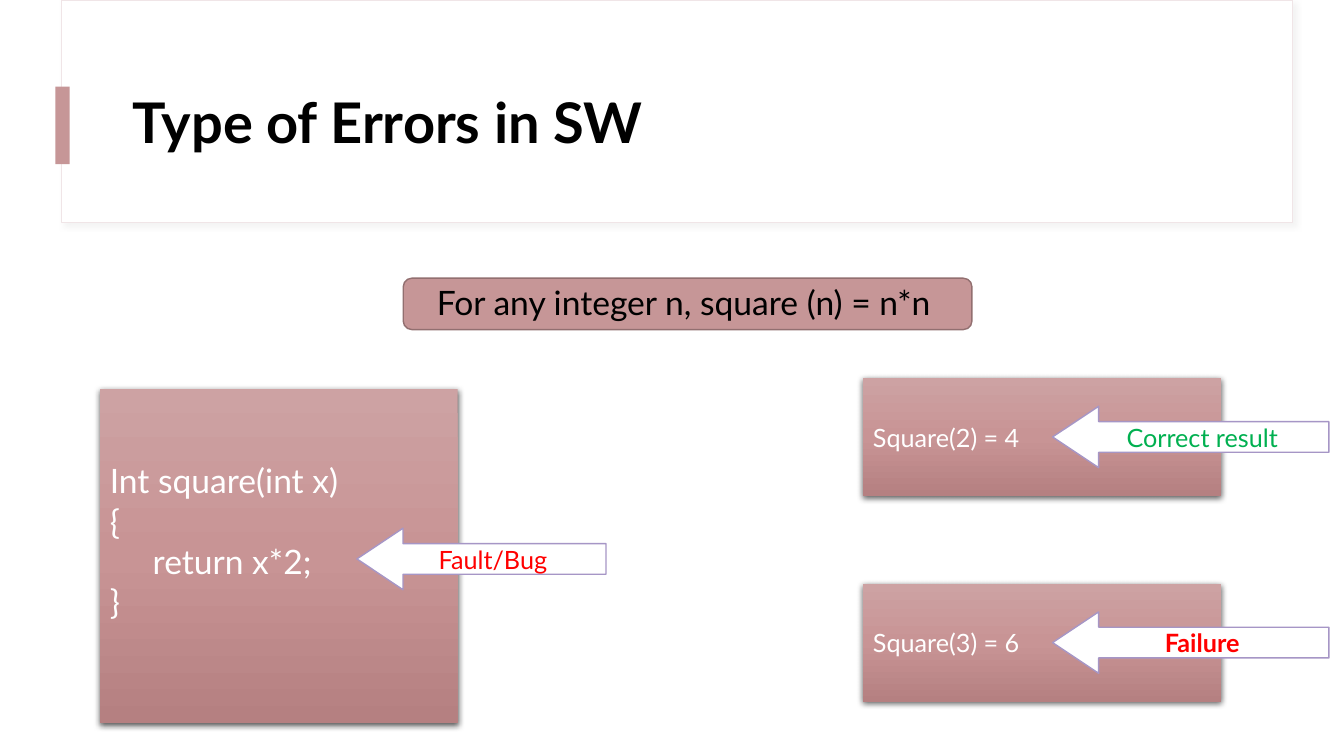
from dataclasses import dataclass
from typing import Any, Optional

from pptx import Presentation
from pptx.dml.color import RGBColor
from pptx.enum.shapes import MSO_SHAPE
from pptx.enum.text import MSO_ANCHOR, PP_ALIGN
from pptx.oxml import parse_xml
from pptx.oxml.ns import nsdecls
from pptx.util import Inches, Pt

BLACK = RGBColor(0x00, 0x00, 0x00)
WHITE = RGBColor(0xFF, 0xFF, 0xFF)
RED = RGBColor(0xFF, 0x00, 0x00)
GREEN = RGBColor(0x00, 0xB0, 0x50)
ROSE = RGBColor(0xC6, 0x96, 0x97)
ROSE_DARK = RGBColor(0x92, 0x6F, 0x70)
ROSE_PALE = RGBColor(0xF0, 0xE5, 0xE7)
LILAC = RGBColor(0xA6, 0x96, 0xC6)
GREY = RGBColor(0xD9, 0xD9, 0xD9)
GRADIENT = {
    0: RGBColor(0xCD, 0xA2, 0xA3),
    50: RGBColor(0xC8, 0x94, 0x95),
    100: RGBColor(0xB5, 0x80, 0x81),
}
RESULT_TOP, RESULT_PITCH = 3.75, 2.04


@dataclass(frozen=True)
class Area:
    """A rectangle on the page, in inches."""

    left: float
    top: float
    width: float
    height: float

    def lengths(self) -> list:
        """Return the four values as lengths."""
        return [Inches(value) for value in (self.left, self.top, self.width, self.height)]


@dataclass(frozen=True)
class Shadow:
    """An outer shadow: opacity in percent, lengths in points, angle in degrees."""

    color: RGBColor
    opacity: int
    blur: float
    distance: float
    angle: int


@dataclass(frozen=True)
class Result:
    """One call of the function and the verdict on its value."""

    call: str
    verdict: str
    font: dict


BOX_SHADOW = Shadow(BLACK, 63, 4.5, 1.5, 90)
HEADER_SHADOW = Shadow(GREY, 30, 4, 3, 45)
RESULTS = [
    Result("Square(2) = 4", "Correct result", {"color": GREEN}),
    Result("Square(3) = 6", "Failure", {"color": RED, "bold": True}),
]


def add_block(page: Any, kind: MSO_SHAPE, area: Area, fill: Optional[RGBColor] = WHITE,
              line: Optional[RGBColor] = None, weight: float = 1) -> Any:
    """Add a preset shape with a plain fill and an optional outline."""
    block = page.shapes.add_shape(kind, *area.lengths())
    block.shadow.inherit = False
    if fill is not None:
        block.fill.solid()
        block.fill.fore_color.rgb = fill
    if line is None:
        block.line.fill.background()
    else:
        block.line.color.rgb = line
        block.line.width = Pt(weight)
    return block


def cast_shadow(block: Any, shadow: Shadow) -> None:
    """Give a block an outer shadow."""
    effects = block._element.spPr.find("{*}effectLst")
    effects.append(parse_xml(
        f'<a:outerShdw {nsdecls("a")} blurRad="{Pt(shadow.blur)}" dist="{Pt(shadow.distance)}"'
        f' dir="{shadow.angle * 60000}" algn="ctr" rotWithShape="0"><a:srgbClr val="{shadow.color}">'
        f'<a:alpha val="{shadow.opacity * 1000}"/></a:srgbClr></a:outerShdw>'))


def write(box: Any, lines: list[str], size: float, color: RGBColor, bold: bool = False,
          frame: Optional[dict] = None, **paragraph_format: Any) -> None:
    """Write lines into a box, one paragraph each."""
    text = box.text_frame
    frame_format = {"word_wrap": True, "vertical_anchor": MSO_ANCHOR.MIDDLE, **(frame or {})}
    for name, value in frame_format.items():
        setattr(text, name, value)
    for index, line in enumerate(lines):
        para = text.add_paragraph() if index else text.paragraphs[0]
        for name, value in paragraph_format.items():
            setattr(para, name, value)
        span = para.add_run()
        span.text = line
        for name, value in {"name": "Lato", "size": Pt(size), "bold": bold}.items():
            setattr(span.font, name, value)
        span.font.color.rgb = color


def add_gradient_box(page: Any, area: Area, lines: list[str], size: float,
                     frame: Optional[dict] = None) -> None:
    """Add a shaded box with left-aligned white text."""
    box = add_block(page, MSO_SHAPE.RECTANGLE, area, fill=None)
    stops = "".join(f'<a:gs pos="{position * 1000}"><a:srgbClr val="{color}"/></a:gs>'
                    for position, color in GRADIENT.items())
    box._element.spPr.insert(2, parse_xml(
        f'<a:gradFill {nsdecls("a")} rotWithShape="1"><a:gsLst>{stops}</a:gsLst>'
        '<a:lin ang="5400000" scaled="0"/></a:gradFill>'))
    cast_shadow(box, BOX_SHADOW)
    write(box, lines, size, WHITE, frame=frame, alignment=PP_ALIGN.LEFT)


def add_arrow(page: Any, area: Area, label: str, font: dict) -> None:
    """Add a labelled arrow that points left."""
    arrow = add_block(page, MSO_SHAPE.LEFT_ARROW, area, line=LILAC)
    arrow.adjustments[0], arrow.adjustments[1] = 0.5, 0.75
    write(arrow, [label], 18, alignment=PP_ALIGN.CENTER, **font)


def add_heading(page: Any) -> None:
    """Add the header panel, the title and the specification."""
    panel = add_block(page, MSO_SHAPE.RECTANGLE, Area(0.61, 0, 12.21, 2.21),
                      line=ROSE_PALE, weight=0.75)
    cast_shadow(panel, HEADER_SHADOW)
    add_block(page, MSO_SHAPE.RECTANGLE, Area(0.55, 0.86, 0.14, 0.77), ROSE)
    add_block(page, MSO_SHAPE.ROUNDED_RECTANGLE, Area(4, 2.76, 5.64, 0.51), ROSE, ROSE_DARK)
    title = page.shapes.add_textbox(*Area(1.22, 0.6, 11.12, 1.29).lengths())
    write(title, ["Type of Errors in SW"], 40, BLACK, bold=True, line_spacing=0.9)
    rule = page.shapes.add_textbox(*Area(1.22, 2.71, 11.12, 0.6).lengths())
    write(rule, ["For any integer n, square (n) = n*n"], 24, BLACK,
          frame={"vertical_anchor": MSO_ANCHOR.TOP},
          alignment=PP_ALIGN.CENTER, line_spacing=1.1)


def main() -> None:
    """Build the slide and save it."""
    deck = Presentation()
    deck.slide_width, deck.slide_height = Inches(13.33), Inches(7.5)
    page = deck.slides.add_slide(deck.slide_layouts[6])
    add_heading(page)
    code = ["Int square(int x)", "{", "     return x*2;", "}"]
    add_gradient_box(page, Area(0.99, 3.86, 3.55, 3.31), code, 24,
                     frame={"margin_bottom": Inches(0.35)})
    add_arrow(page, Area(3.54, 5.24, 2.47, 0.61), "Fault/Bug", {"color": RED})
    for index, result in enumerate(RESULTS):
        top = RESULT_TOP + index * RESULT_PITCH
        add_gradient_box(page, Area(8.56, top, 3.55, 1.17), [result.call], 18)
        add_arrow(page, Area(10.44, top + 0.28, 2.74, 0.61), result.verdict, result.font)
    deck.save("out.pptx")


if __name__ == "__main__":
    main()
